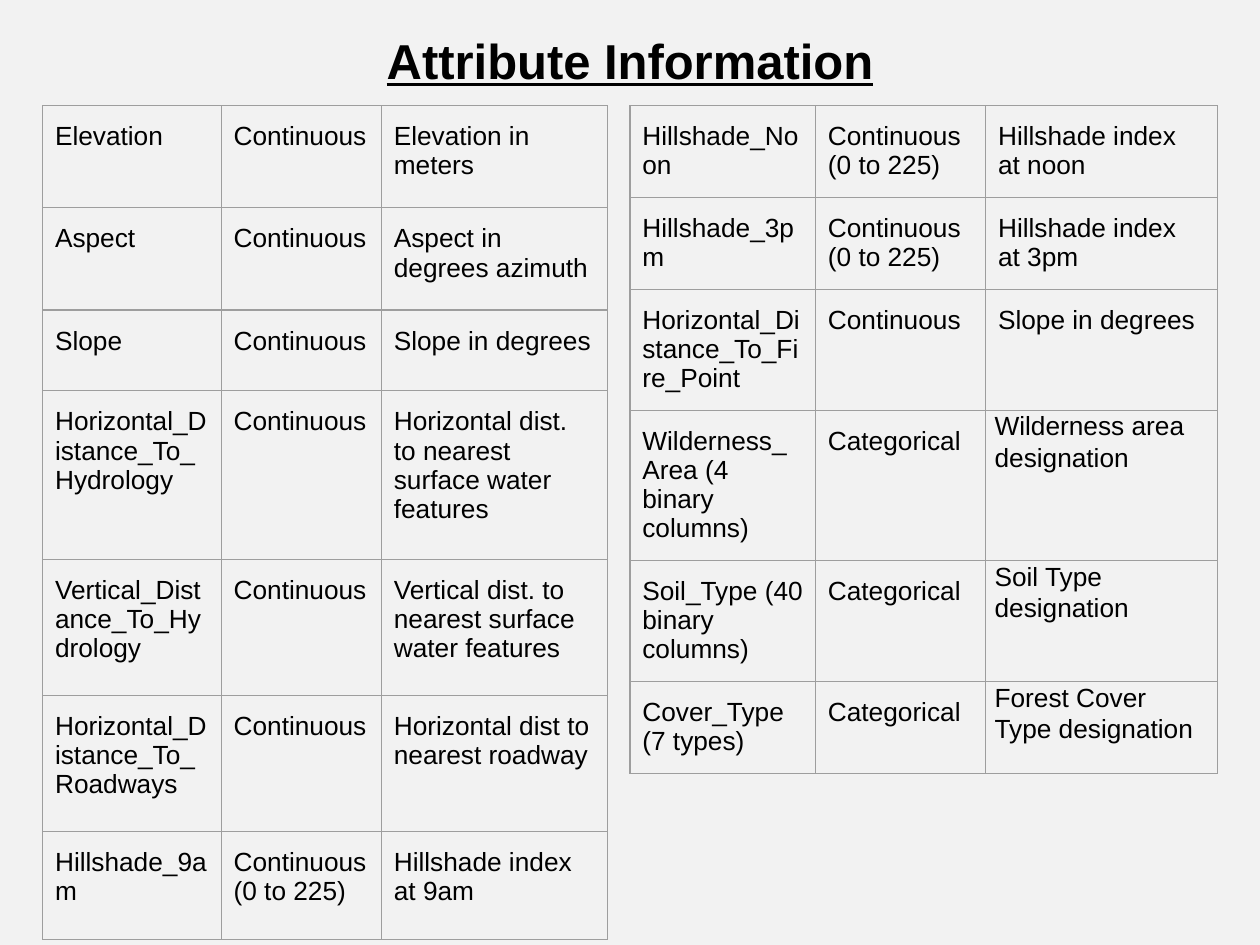
from lxml.etree import SubElement
from pptx import Presentation
from pptx.dml.color import RGBColor
from pptx.enum.text import MSO_ANCHOR as Anchor, PP_ALIGN as Align
from pptx.oxml.ns import qn
from pptx.util import Cm, Pt

TITLE_FONT = {"name": "Arial", "size": Pt(28), "bold": True, "underline": True}
CELL_FONT = {"name": "Arial", "size": Pt(15), "bold": False}
PADDED = {"margin_left": Cm(0.25), "margin_right": Cm(0.25),
          "margin_top": Cm(0.33), "margin_bottom": Cm(0.33)}
TIGHT = {"margin_left": Cm(0.18), "margin_right": Cm(0.18),
         "margin_top": 0, "margin_bottom": 0}
RANGE = "Continuous\n(0 to 225)"

# Each row: height in cm, attribute, kind, description
LEFT_ROWS = [
    (2.06, "Elevation", "Continuous", "Elevation in meters"),
    (2.06, "Aspect", "Continuous", "Aspect in degrees azimuth"),
    (1.63, "Slope", "Continuous", "Slope in degrees"),
    (3.4, "Horizontal_Distance_To_Hydrology", "Continuous",
     "Horizontal dist. to nearest surface water features"),
    (2.74, "Vertical_Distance_To_Hydrology", "Continuous",
     "Vertical dist. to nearest surface water features"),
    (2.74, "Horizontal_Distance_To_Roadways", "Continuous",
     "Horizontal dist to nearest roadway"),
    (2.18, "Hillshade_9am", RANGE, "Hillshade index at 9am"),
]
RIGHT_ROWS = [
    (1.85, "Hillshade_Noon", RANGE, "Hillshade index at noon"),
    (1.85, "Hillshade_3pm", RANGE, "Hillshade index at 3pm"),
    (2.44, "Horizontal_Distance_To_Fire_Point", "Continuous", "Slope in degrees"),
    (3.03, "Wilderness_Area (4 binary columns)", "Categorical",
     "Wilderness area designation"),
    (2.44, "Soil_Type (40 binary columns)", "Categorical", "Soil Type designation"),
    (1.85, "Cover_Type (7 types)", "Categorical", "Forest Cover Type designation"),
]


def color(hex_string):
    return RGBColor.from_string(hex_string)


def apply(target, values):
    for name, value in values.items():
        setattr(target, name, value)


def format_font(font, values):
    apply(font, values)
    font.color.rgb = color("000000")


def add_borders(cell, hex_string, width):
    properties = cell._tc.get_or_add_tcPr()
    for position, side in enumerate(("lnL", "lnR", "lnT", "lnB")):
        line = SubElement(properties, qn(f"a:{side}"), w=str(width))
        fill = SubElement(line, qn("a:solidFill"))
        SubElement(fill, qn("a:srgbClr"), val=hex_string)
        properties.insert(position, line)


def fill_cell(cell, text, tight):
    apply(cell, TIGHT if tight else PADDED)
    cell.vertical_anchor = Anchor.TOP
    cell.fill.background()
    add_borders(cell, "9E9E9E", Pt(0.75))
    cell.text_frame.text = text
    for paragraph in cell.text_frame.paragraphs:
        format_font(paragraph.font, CELL_FONT)
        if tight:
            paragraph.line_spacing = 1.07


def add_title(slide, left, top, width, height):
    title = slide.shapes.title
    apply(title, {"left": left, "top": top, "width": width, "height": height})
    frame = title.text_frame
    frame.text = "Attribute Information"
    apply(frame, {"vertical_anchor": Anchor.MIDDLE, "word_wrap": True})
    paragraph = frame.paragraphs[0]
    paragraph.alignment = Align.CENTER
    format_font(paragraph.font, TITLE_FONT)


def add_attribute_table(slide, left, top, widths, rows):
    heights = [Cm(row[0]) for row in rows]
    widths = [Cm(width) for width in widths]
    table = slide.shapes.add_table(len(rows), len(widths), left, top,
                                   sum(widths), sum(heights)).table
    apply(table, {"first_row": False, "horz_banding": False})
    for column, width in zip(table.columns, widths):
        column.width = width
    for row, height, (_, *texts) in zip(table.rows, heights, rows):
        row.height = height
        for index, (cell, text) in enumerate(zip(row.cells, texts)):
            fill_cell(cell, text, index == 2 and texts[1] == "Categorical")


def main():
    presentation = Presentation()
    apply(presentation, {"slide_width": Cm(25.4), "slide_height": Cm(19.05)})
    slide = presentation.slides.add_slide(presentation.slide_layouts[5])
    background = slide.background.fill
    background.solid()
    background.fore_color.rgb = color("F2F2F2")
    add_title(slide, Cm(0.86), Cm(0.28), Cm(23.68), Cm(1.85))
    add_attribute_table(slide, Cm(0.86), Cm(2.13), (3.6, 3.23, 4.56), LEFT_ROWS)
    add_attribute_table(slide, Cm(12.7), Cm(2.13), (3.74, 3.43, 4.67), RIGHT_ROWS)
    presentation.save("out.pptx")


if __name__ == "__main__":
    main()
